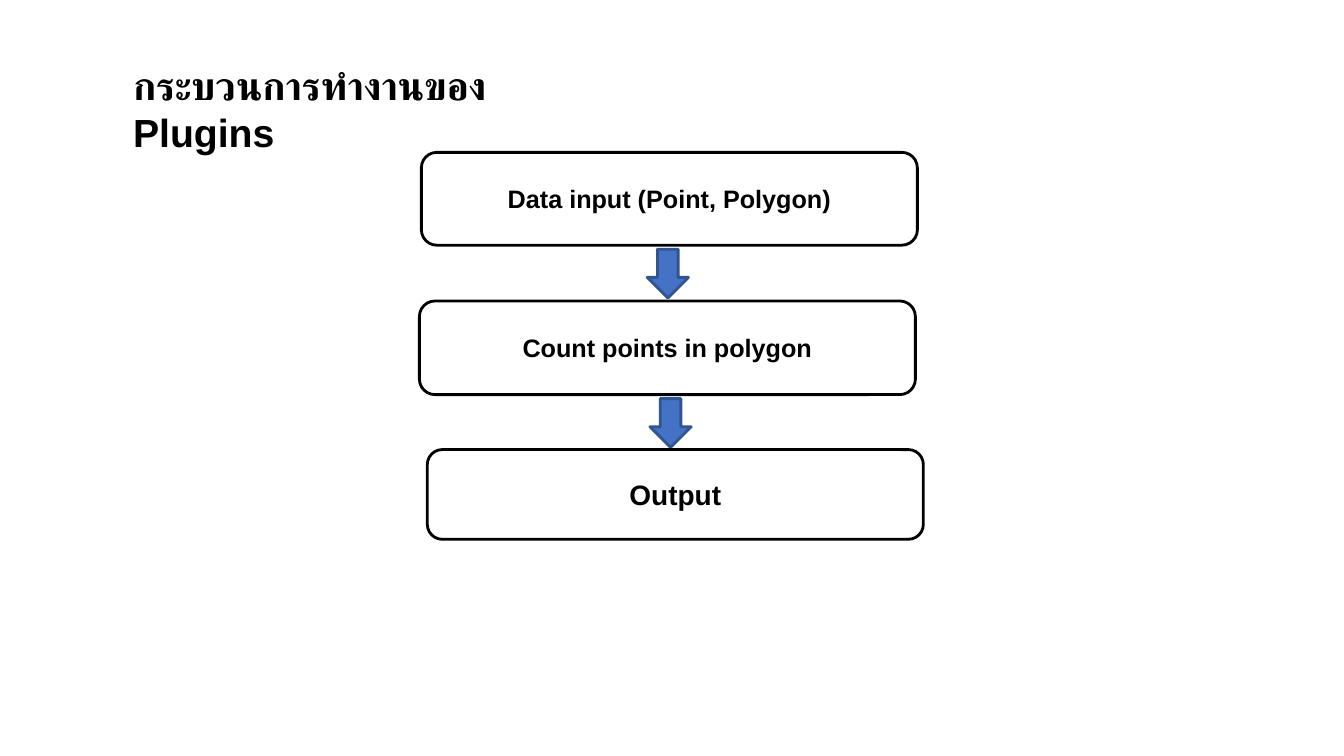
from pptx import Presentation
from pptx.dml.color import RGBColor
from pptx.enum.shapes import MSO_SHAPE
from pptx.enum.text import MSO_ANCHOR, MSO_AUTO_SIZE, PP_ALIGN
from pptx.util import Cm, Pt


def tint(target, code):
    if hasattr(target, "solid"):
        target.solid()
        target = target.fore_color
    else:
        target = target.color
    target.rgb = RGBColor.from_string(code)


def apply(target, values):
    for name, value in values.items():
        setattr(target, name, value)


def style(shape, text, size, frame, align):
    apply(shape.text_frame, frame)
    para = shape.text_frame.paragraphs[0]
    para.alignment = align
    run = para.add_run()
    run.text = text
    apply(run.font, {"name": "Arial", "size": Pt(size), "bold": True})
    tint(run.font, "000000")


def draw(group, kind, box, fill, line):
    shape = group.shapes.add_shape(kind, *map(Cm, box))
    shape.shadow.inherit = False
    tint(shape.fill, fill)
    tint(shape.line, line)
    shape.line.width = Pt(2)
    return shape


# Heading
def head(slide, box, text):
    title = slide.shapes.title
    apply(title, dict(zip(("left", "top", "width", "height"), map(Cm, box))))
    frame = {"word_wrap": True, "vertical_anchor": MSO_ANCHOR.TOP,
             "auto_size": MSO_AUTO_SIZE.SHAPE_TO_FIT_TEXT}
    style(title, text, 28, frame, PP_ALIGN.LEFT)


# Steps from top to bottom, with an arrow below each but the last
def flow(slide, box, steps):
    left, top, width, height = box
    group = slide.shapes.add_group_shape()
    frame = {"word_wrap": True, "vertical_anchor": MSO_ANCHOR.MIDDLE}
    pitch = (height - steps[-1][3]) / (len(steps) - 1)
    for i, (text, size, shift, tall, arrow) in enumerate(steps):
        y = top + i * pitch
        step = draw(group, MSO_SHAPE.ROUNDED_RECTANGLE,
                    (left + shift, y, width, tall), "FFFFFF", "000000")
        style(step, text, size, frame, PP_ALIGN.CENTER)
        if arrow is not None:
            draw(group, MSO_SHAPE.DOWN_ARROW,
                 (left + arrow, y + tall + 0.1, 1.04, 1.23),
                 "4472C4", "325491")


# Text, font size, left shift, height, arrow shift
STEPS = [
    ("Data input (Point, Polygon)", 18, 0.05, 2.34, 5.74),
    ("Count points in polygon", 18, 0, 2.36, 5.81),
    ("Output", 20, 0.2, 2.26, None),
]

deck = Presentation()
apply(deck, {"slide_width": Cm(33.87), "slide_height": Cm(19.05)})
page = deck.slides.add_slide(deck.slide_layouts[5])
head(page, (3.1, 1.42, 11.99, 1.45), "กระบวนการทำงานของ Plugins")
flow(page, (10.57, 3.84, 12.5, 9.75), STEPS)
deck.save("out.pptx")
